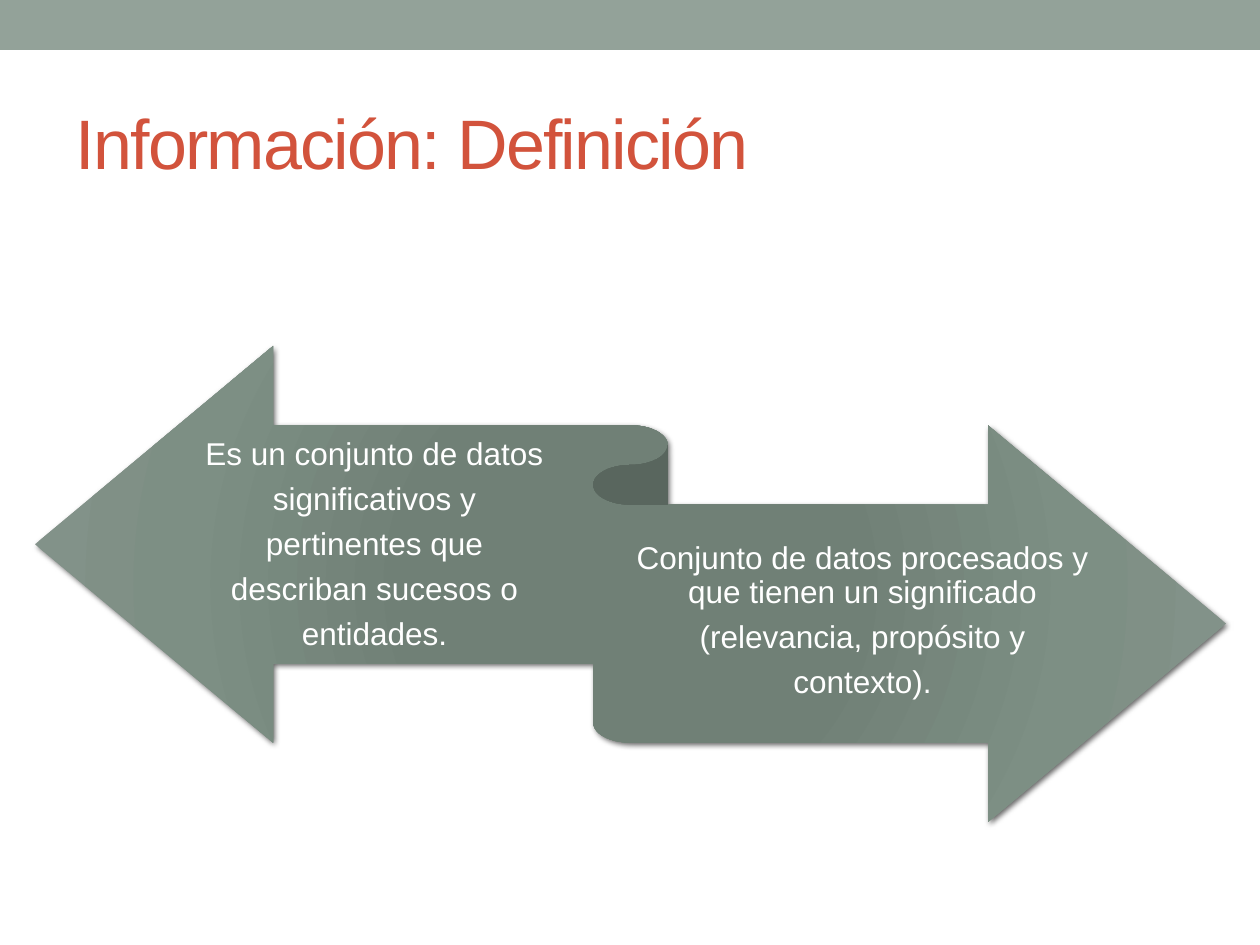
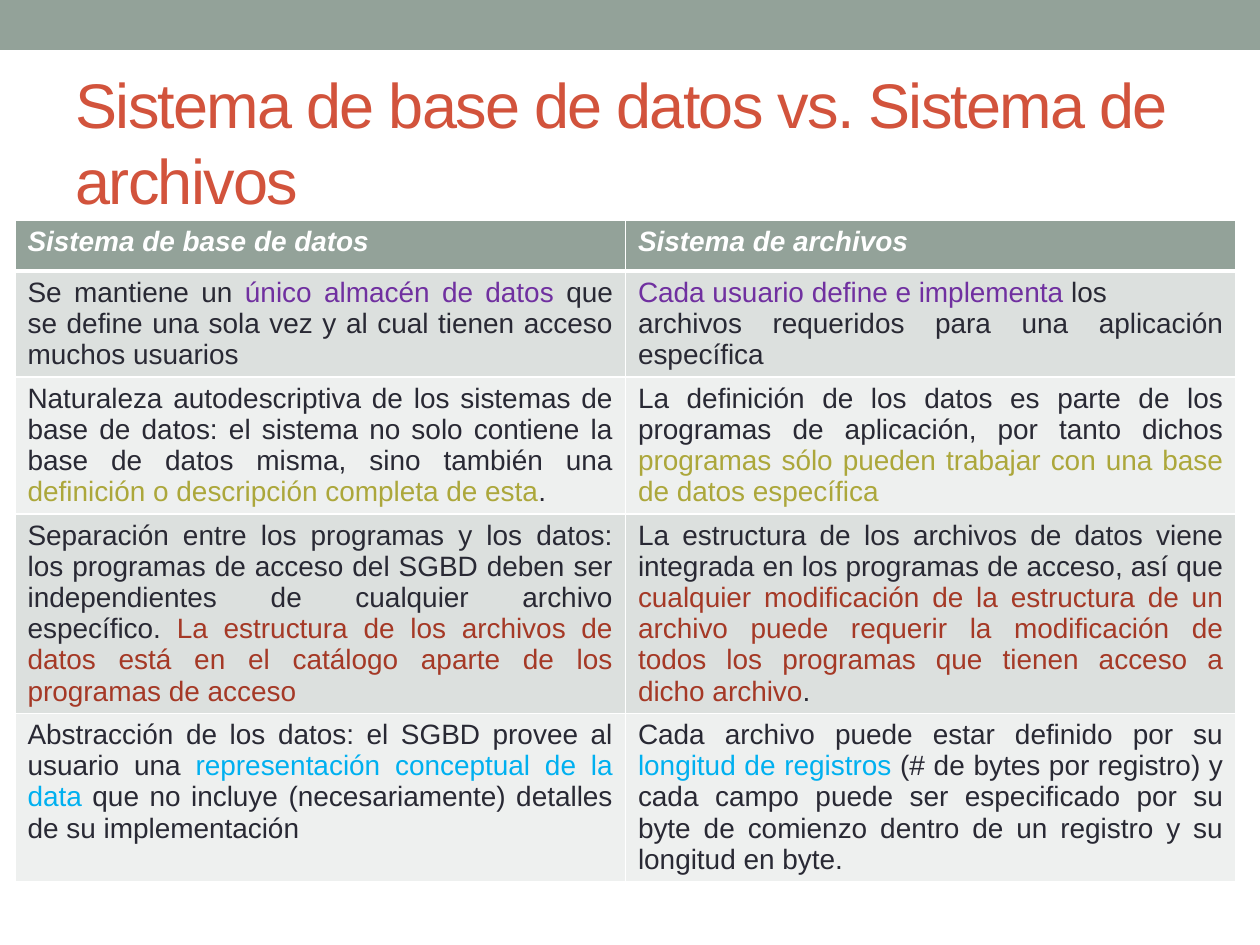
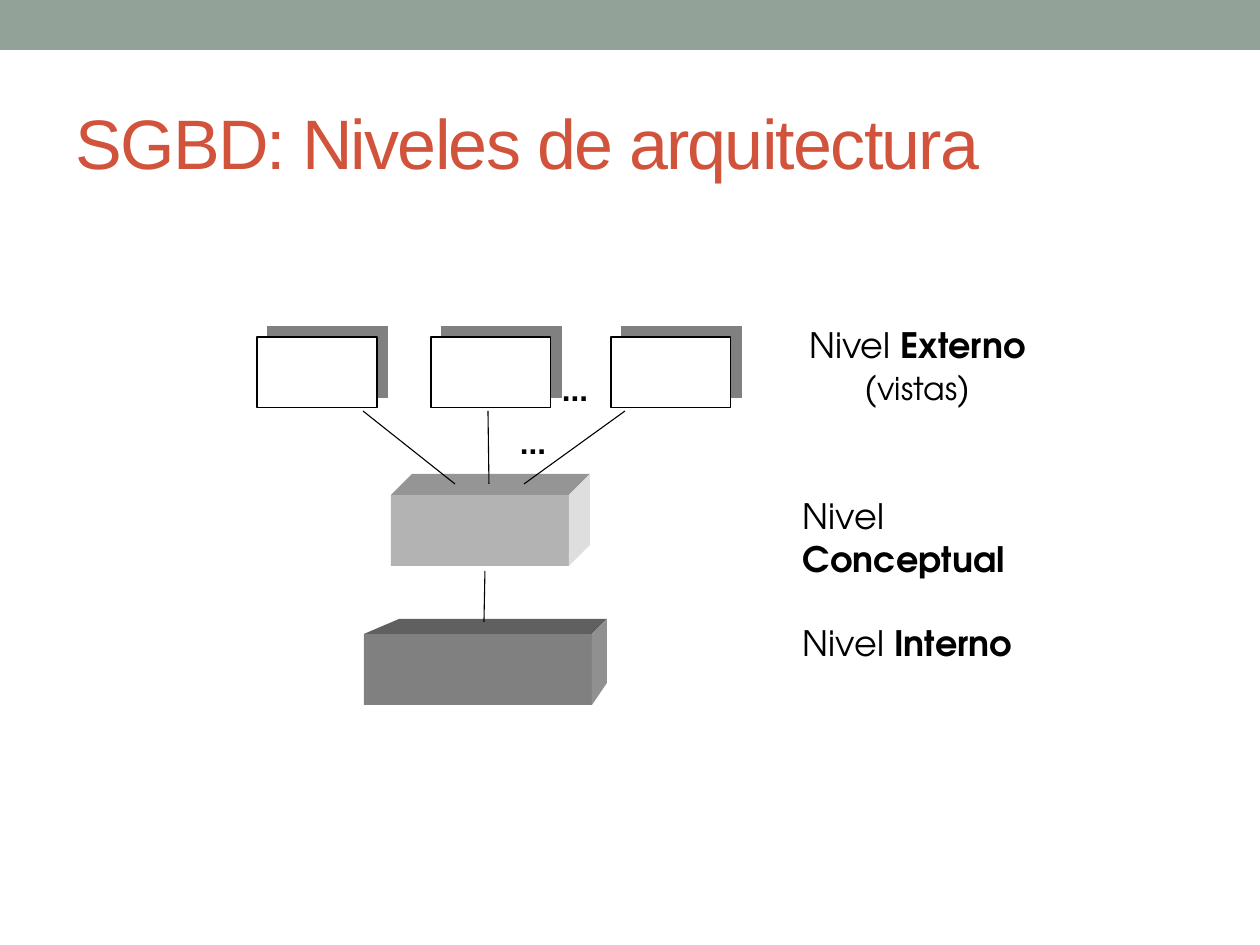
import dataclasses

import lxml.etree
import pptx
import pptx.dml.color
import pptx.enum.dml
import pptx.enum.shapes
import pptx.enum.text
import pptx.oxml.ns
import pptx.util

SCALE = 914400 / 126  # EMU in one px
qn = pptx.oxml.ns.qn
Shape = pptx.enum.shapes.MSO_SHAPE
Align = pptx.enum.text.PP_ALIGN
Anchor = pptx.enum.text.MSO_ANCHOR


@dataclasses.dataclass(frozen=True)
class Theme:
    font: str = "Arial"
    label_font: str = "TeX Gyre Adventor"
    band: str = "93A299"
    title: str = "D2533C"
    ink: str = "292934"
    black: str = "000000"
    white: str = "FFFFFF"
    rows: tuple = ("DCE0DE", "EEF0EF")
    purple: str = "7030A0"
    olive: str = "ACA73B"
    red: str = "A53926"
    blue: str = "00B0F0"
    ribbon: tuple = ((0, "6F8176"), (34, "708076"), (70, "7D8F84"), (100, "85938B"))
    view_shadow: str = "808080"
    conceptual: tuple = ("B3B3B3", "959595", "DEDEDE")  # front, top, side
    internal: tuple = ("808080", "606060", "909090")
    title_size: int = 40
    long_title_size: int = 36
    label_size: int = 20
    text_size: int = 18
    cell_size: int = 16
    hairline: float = 0.63


THEME = Theme()


# ---- Helpers ----

def px(value):
    return pptx.util.Emu(round(value * SCALE))


def box_emu(box):
    return [px(value) for value in box]


def rgb(colour):
    return pptx.dml.color.RGBColor.from_string(colour)


def add_xml(parent, tag, **attributes):
    child = lxml.etree.SubElement(parent, qn(tag))
    for name, value in attributes.items():
        child.set(name, str(value))
    return child


def write(frame, paragraphs, size=THEME.text_size, font=THEME.font, colour=THEME.ink,
          bold=False, italic=False, align=Align.LEFT, line=None, after=None, spacing=None):
    """Fill a frame; a paragraph is a string or a list of (text, overrides) runs."""
    for index, content in enumerate(paragraphs):
        paragraph = frame.paragraphs[0] if index == 0 else frame.add_paragraph()
        paragraph.alignment = align
        if line:
            paragraph.line_spacing = line
        if after:
            paragraph.space_after = pptx.util.Pt(after)
        for text, own in [(content, {})] if isinstance(content, str) else content:
            run = paragraph.add_run()
            run.text = text
            run.font.name = font
            run.font.size = pptx.util.Pt(own.get("size", size))
            run.font.bold = own.get("bold", bold)
            run.font.italic = italic
            run.font.color.rgb = rgb(own.get("colour", colour))
            if spacing:
                run.font._element.set("spc", str(spacing))


def add_label(slide, box, paragraphs, wrap=True, anchor=Anchor.TOP, inset=0, **style):
    frame = slide.shapes.add_textbox(*box_emu(box)).text_frame
    frame.word_wrap = wrap
    frame.vertical_anchor = anchor
    frame.margin_left = frame.margin_right = 0
    frame.margin_top = frame.margin_bottom = px(inset)
    write(frame, paragraphs, **style)


def paint(shape, fill, line=None):
    shape.shadow.inherit = False
    shape.fill.solid()
    shape.fill.fore_color.rgb = rgb(fill)
    if line:
        shape.line.color.rgb = rgb(line)
        shape.line.width = pptx.util.Pt(THEME.hairline)
    else:
        shape.line.fill.background()
    return shape


def add_rect(slide, box, fill, line=None):
    return paint(slide.shapes.add_shape(Shape.RECTANGLE, *box_emu(box)), fill, line)


def add_face(slide, points, fill):
    builder = slide.shapes.build_freeform(*points[0], scale=SCALE)
    builder.add_line_segments(points[1:], close=True)
    paint(builder.convert_to_shape(), fill)


def cast_shadow(shape, colour, alpha, blur, distance, angle):
    shape.shadow.inherit = False
    effects = shape._element.spPr.find(qn("a:effectLst"))
    shadow = add_xml(effects, "a:outerShdw", blurRad=pptx.util.Pt(blur),
                     dist=pptx.util.Pt(distance), dir=angle * 60000, rotWithShape=0)
    add_xml(add_xml(shadow, "a:srgbClr", val=colour), "a:alpha", val=alpha * 1000)


def fill_radially(shape, stops):
    shape.fill.gradient()
    gradient = shape._element.spPr.find(qn("a:gradFill"))
    for child in list(gradient):
        gradient.remove(child)
    stop_list = add_xml(gradient, "a:gsLst")
    for position, colour in stops:
        add_xml(add_xml(stop_list, "a:gs", pos=position * 1000), "a:srgbClr", val=colour)
    circle = add_xml(gradient, "a:path", path="circle")
    add_xml(circle, "a:fillToRect", **dict.fromkeys("ltrb", 100000))


def add_line(slide, start, end):
    line = slide.shapes.add_connector(pptx.enum.shapes.MSO_CONNECTOR.STRAIGHT,
                                      *box_emu(start + end))
    line.line.color.rgb = rgb(THEME.black)
    line.line.width = pptx.util.Pt(THEME.hairline)
    add_xml(line._element.spPr, "a:effectLst")


# ---- Shared by all slides ----

def prepare_master(deck, slide):
    """Put the title box and the top band on the master."""
    master = deck.slide_master
    title = next(p for p in master.placeholders
                 if p.placeholder_format.type == pptx.enum.shapes.PP_PLACEHOLDER.TITLE)
    title.left, title.top, title.width, title.height = box_emu((63, 73, 1134, 136))
    band = add_rect(slide, (0, 0, 1260, 50), THEME.band)
    master.shapes._spTree.insert(2, band._element)


def add_titled_slide(deck, title, size=THEME.title_size):
    slide = deck.slides.add_slide(deck.slide_layouts.get_by_name("Title Only"))
    frame = slide.shapes.title.text_frame
    frame.auto_size = pptx.enum.text.MSO_AUTO_SIZE.NONE
    frame.vertical_anchor = Anchor.MIDDLE
    write(frame, [title], size=size, colour=THEME.title, spacing=-100)
    return slide


# ---- Slide 1: definition ----

def draw_definition(slide, box):
    left, top, width, height = box
    ribbon = slide.shapes.add_shape(Shape.LEFT_RIGHT_RIBBON, *box_emu(box))
    ribbon.line.fill.background()
    fill_radially(ribbon, THEME.ribbon)
    cast_shadow(ribbon, THEME.black, 60, 3, 2, 45)

    style = dict(colour=THEME.white, align=Align.CENTER, line=0.9, after=6.3,
                 anchor=Anchor.MIDDLE, inset=9)
    add_label(slide, (left + 143, top + 83, 393, 233),
              ["Es un conjunto de datos", "significativos y", "pertinentes que",
               "describan sucesos o", "entidades."], **style)
    add_label(slide, (left + width // 2, top + 159, 465, 233),
              ["Conjunto de datos procesados y que tienen un significado",
               "(relevancia, propósito y", "contexto)."], **style)


# ---- Slide 2: comparison table ----

def tint(text, colour):
    return text, {"colour": colour}


def plain(text):
    return text, {}


COMPARISON = [
    ([[plain("Se mantiene un "), tint("único almacén de datos ", THEME.purple),
       plain("que se define una sola vez y al cual tienen acceso muchos usuarios")]],
     [[tint("Cada usuario define e implementa ", THEME.purple), plain("los")],
      "archivos requeridos para una aplicación específica"]),
    ([[plain("Naturaleza autodescriptiva de los sistemas de base de datos: el sistema no solo "
             "contiene la base de datos misma, sino también una "),
       tint("definición o descripción completa de esta", THEME.olive), plain(". ")]],
     [[plain("La definición de los datos es parte de los programas de aplicación, "
             "por tanto dichos "),
       tint("programas sólo pueden trabajar con una base de datos específica", THEME.olive)]]),
    ([[plain("Separación entre los programas y los datos: los programas de acceso del SGBD "
             "deben ser independientes de cualquier archivo específico. "),
       tint("La estructura de los archivos de datos está en el catálogo aparte de los "
            "programas de acceso", THEME.red)]],
     ["La estructura de los archivos de datos viene integrada en los programas de acceso, "
      "así que ",
      [tint("cualquier modificación de la estructura de un archivo puede requerir la "
            "modificación de todos los programas que tienen acceso a dicho archivo", THEME.red),
       plain(".")]]),
    ([[plain("Abstracción de los datos: el SGBD provee al usuario una "),
       tint("representación conceptual de la data", THEME.blue),
       plain(" que no incluye (necesariamente) detalles de su implementación")]],
     [[plain("Cada archivo puede estar definido por su "),
       tint("longitud de registros", THEME.blue),
       plain(" (# de bytes por registro) y cada campo puede ser especificado por su byte de "
             "comienzo dentro de un registro y su longitud en byte.")]]),
]


def set_borders(cell, **widths):
    properties = cell._tc.get_or_add_tcPr()
    for index, (side, width) in enumerate(widths.items()):
        border = add_xml(properties, f"a:ln{side}", w=pptx.util.Pt(width))
        add_xml(add_xml(border, "a:solidFill"), "a:srgbClr", val=THEME.white)
        properties.insert(index, border)


def draw_comparison(slide, box, row_heights):
    rows = [(["Sistema de base de datos"], ["Sistema de archivos"])] + COMPARISON
    table = slide.shapes.add_table(len(rows), 2, *box_emu(box)).table
    table.first_row = table.horz_banding = False
    for column in table.columns:
        column.width = px(box[2] / 2)
    for row, height in enumerate(row_heights):
        table.rows[row].height = px(height)
        header = row == 0
        for column, paragraphs in enumerate(rows[row]):
            cell = table.cell(row, column)
            cell.fill.solid()
            cell.fill.fore_color.rgb = rgb(THEME.band if header else THEME.rows[(row - 1) % 2])
            set_borders(cell, L=1, R=1, T=3 if row == 1 else 1, B=3 if header else 1)
            write(cell.text_frame, paragraphs, size=THEME.cell_size, align=Align.JUSTIFY,
                  colour=THEME.white if header else THEME.ink, bold=header, italic=header)


# ---- Slide 3: architecture levels ----

def draw_block(slide, front, back, colours):
    """Draw a solid from its front and back faces, each (left, top, right, bottom)."""
    left, top, right, bottom = front
    far_left, far_top, far_right, far_bottom = back
    front_fill, top_fill, side_fill = colours
    add_rect(slide, (left, top, right - left, bottom - top), front_fill)
    add_face(slide, [(left, top), (far_left, far_top), (far_right, far_top), (right, top)],
             top_fill)
    add_face(slide, [(right, top), (far_right, far_top), (far_right, far_bottom),
                     (right, bottom)], side_fill)


def draw_levels(slide, left, top):
    def faces(*edges):
        return tuple(edge + (left, top)[index % 2] for index, edge in enumerate(edges))

    # External views
    for view_left in (0, 174, 354):
        view = add_rect(slide, (left + view_left, top, 120, 71), THEME.white, THEME.black)
        cast_shadow(view, THEME.view_shadow, 100, 0, 8.5, 315)

    # Conceptual and internal blocks
    draw_block(slide, faces(134, 158, 312, 229), faces(155, 137, 333, 208), THEME.conceptual)
    draw_block(slide, faces(107, 297, 335, 368), faces(142, 282, 350, 346), THEME.internal)

    # Links between levels
    for start, end in (((106, 74), (198, 147)), ((231, 74), (232, 147)),
                       ((368, 74), (267, 147)), ((228, 234), (227, 285))):
        add_line(slide, faces(*start), faces(*end))

    # Further views
    for dots_left, dots_top in ((305, 33), (263, 86)):
        add_label(slide, (left + dots_left, top + dots_top, 40, 38), ["..."],
                  colour=THEME.black, bold=True)


def label_levels(slide, left, top):
    style = dict(size=THEME.label_size, font=THEME.label_font, colour=THEME.black)

    def level(name):
        return [plain("Nivel "), (name, {"bold": True})]

    views = [plain("("), ("vistas", {"size": THEME.text_size}), plain(")")]
    add_label(slide, (left, top, 239, 84), [level("Externo"), views],
              align=Align.CENTER, **style)
    add_label(slide, (left + 5, top + 171, 272, 84), [level("Conceptual")], **style)
    add_label(slide, (left + 5, top + 297, 222, 42), [level("Interno")], wrap=False, **style)


def main():
    deck = pptx.Presentation()
    deck.slide_width, deck.slide_height = px(1260), px(945)

    definition = add_titled_slide(deck, "Información: Definición")
    prepare_master(deck, definition)
    draw_definition(definition, (35, 346, 1191, 476))

    comparison = add_titled_slide(deck, "Sistema de base de datos vs. Sistema de archivos",
                                  size=THEME.long_title_size)
    draw_comparison(comparison, (15, 220, 1221, 660), (51, 106, 137, 199, 167))

    levels = add_titled_slide(deck, "SGBD: Niveles de arquitectura")
    draw_levels(levels, 257, 337)
    label_levels(levels, 798, 324)

    deck.save("out.pptx")


if __name__ == "__main__":
    main()
